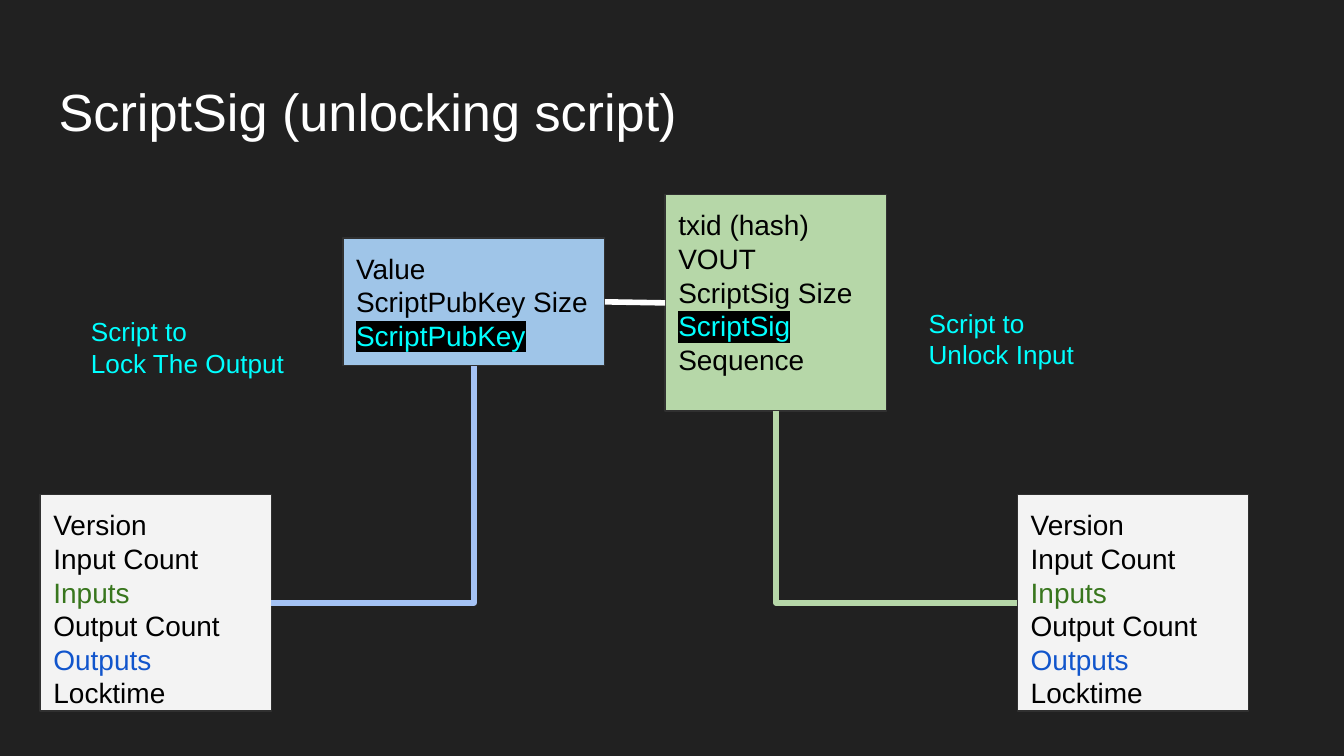
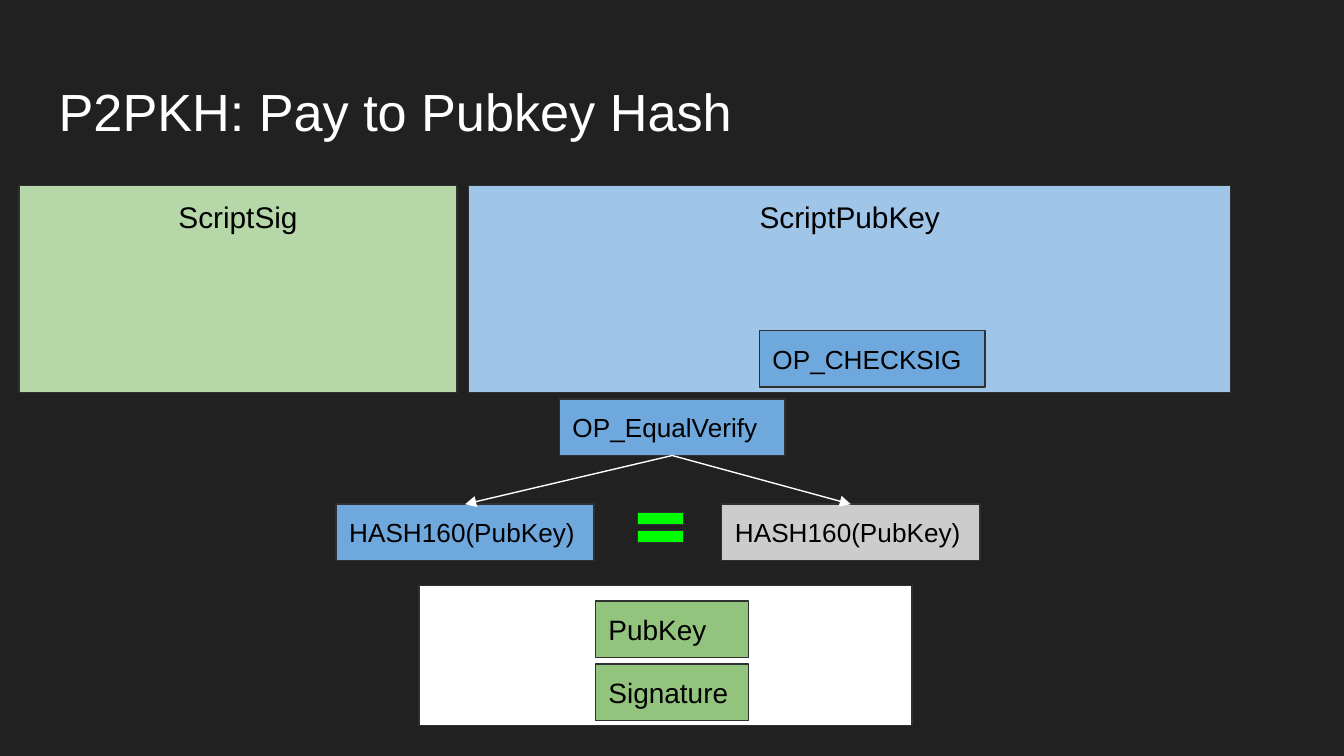
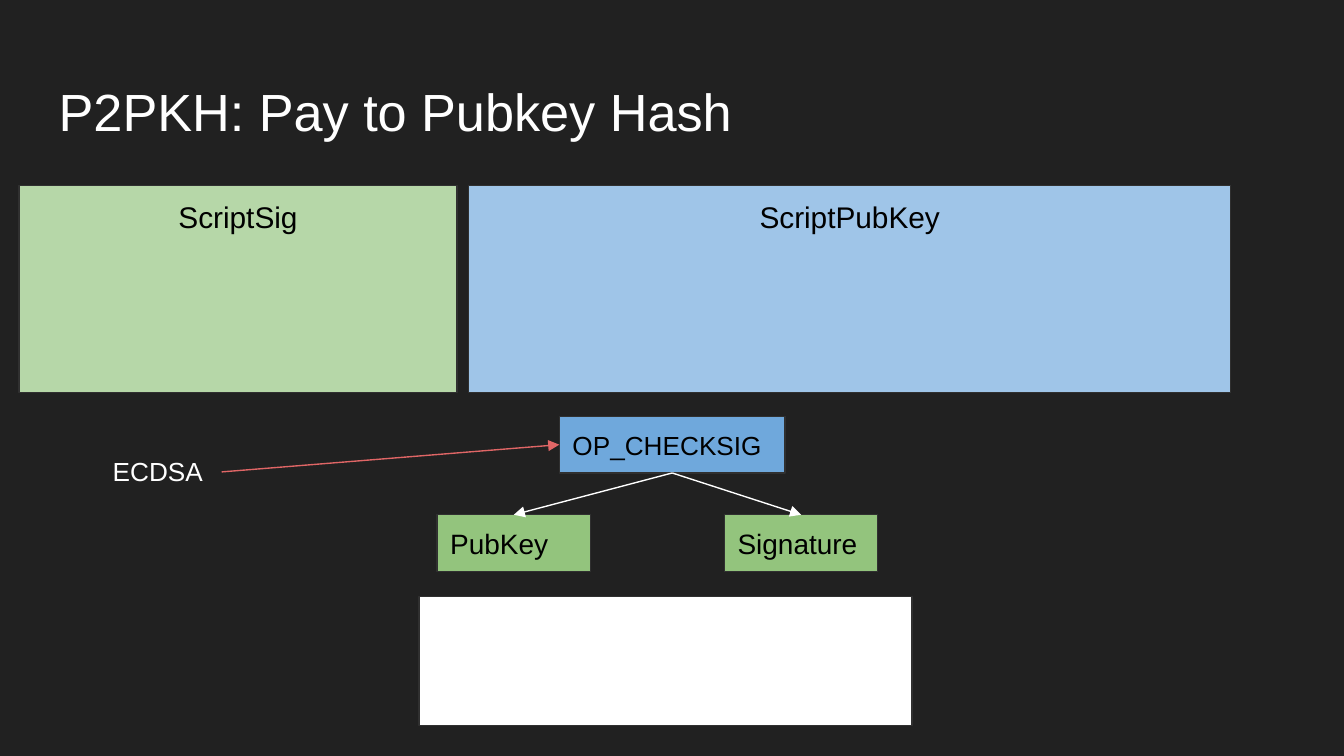
from lxml import etree
from pptx import Presentation
from pptx.dml.color import RGBColor
from pptx.enum import shapes, text
from pptx.oxml.ns import qn
from pptx.util import Cm, Pt

BACKGROUND = RGBColor(0x21, 0x21, 0x21)
OUTLINE = RGBColor(0x30, 0x30, 0x30)
BLACK = RGBColor(0x00, 0x00, 0x00)
WHITE = RGBColor(0xFF, 0xFF, 0xFF)
PAPER = RGBColor(0xF3, 0xF3, 0xF3)
GRAY = RGBColor(0xCC, 0xCC, 0xCC)
CYAN = RGBColor(0x00, 0xFF, 0xFF)
LIME = RGBColor(0x00, 0xFF, 0x00)
INPUT_GREEN = RGBColor(0x38, 0x76, 0x1D)
OUTPUT_BLUE = RGBColor(0x11, 0x55, 0xCC)
SIG_GREEN = RGBColor(0xB6, 0xD7, 0xA8)
DATA_GREEN = RGBColor(0x93, 0xC4, 0x7D)
KEY_BLUE = RGBColor(0x9F, 0xC5, 0xE8)
OP_BLUE = RGBColor(0x6F, 0xA8, 0xDC)
LINK_BLUE = RGBColor(0xA4, 0xC2, 0xF4)
RED = RGBColor(0xE0, 0x66, 0x66)

FONT = "Arial"
INSET = Cm(0.25)
TOP, LEFT, BOTTOM, RIGHT = range(4)

UNLOCK_TITLE = "ScriptSig (unlocking script)"
P2PKH_TITLE = "P2PKH: Pay to Pubkey Hash"
TRANSACTION = ["Version", "Input Count", "Inputs", "Output Count", "Outputs", "Locktime"]
OUTPUT = ["Value", "ScriptPubKey Size", "ScriptPubKey"]
INPUT = ["txid (hash)", "VOUT", "ScriptSig Size", "ScriptSig", "Sequence"]
LOCK_NOTE = ["Script to", "Lock The Output"]
UNLOCK_NOTE = ["Script to", "Unlock Input"]
LINE_COLORS = {"Inputs": INPUT_GREEN, "Outputs": OUTPUT_BLUE,
               "ScriptPubKey": CYAN, "ScriptSig": CYAN}

SCRIPT_PANELS = [("ScriptSig", 0.36, 8.28, SIG_GREEN), ("ScriptPubKey", 8.86, 14.4, KEY_BLUE)]
STACK_LEFT, STACK_WIDTH, STACK_BOTTOM = 7.92, 9.32, 13.71
TAG_HEIGHT = 1.07
OP_WIDTH, HASH_WIDTH, DATA_WIDTH = 4.27, 4.88, 2.9
OP_LEFT = 10.57


def write(shape, lines, size, color, colors=None, align=text.PP_ALIGN.LEFT,
          anchor=text.MSO_ANCHOR.TOP):
    frame = shape.text_frame
    frame.text = "\n".join(lines)
    frame.word_wrap = True
    frame.vertical_anchor = anchor
    frame.margin_left = frame.margin_right = INSET
    frame.margin_top = frame.margin_bottom = INSET
    for paragraph in frame.paragraphs:
        paragraph.alignment = align
        for run in paragraph.runs:
            run.font.size = Pt(size)
            run.font.name = FONT
            run.font.color.rgb = (colors or {}).get(run.text, color)
            if run.font.color.rgb == CYAN and colors:
                highlight(run, BLACK)


def highlight(run, color):
    fill = run.font._element.find(qn("a:solidFill"))
    marker = etree.Element(qn("a:highlight"))
    etree.SubElement(marker, qn("a:srgbClr"), val=str(color))
    fill.addnext(marker)


def add_box(slide, left, top, width, height, fill, kind=shapes.MSO_SHAPE.RECTANGLE):
    box = slide.shapes.add_shape(kind, Cm(left), Cm(top), Cm(width), Cm(height))
    box.shadow.inherit = False
    box.fill.solid()
    box.fill.fore_color.rgb = fill
    box.line.color.rgb = OUTLINE
    box.line.width = Pt(0.75)
    return box


def add_fields(slide, lines, left, top, width, height, fill):
    box = add_box(slide, left, top, width, height, fill)
    write(box, lines, 15, BLACK, LINE_COLORS)
    return box


def add_tag(slide, label, left, top, width, fill, size=14):
    tag = add_box(slide, left, top, width, TAG_HEIGHT, fill)
    write(tag, [label], size, BLACK, anchor=text.MSO_ANCHOR.MIDDLE)
    return tag


def add_label(slide, lines, left, top, width, height, size, color):
    label = slide.shapes.add_textbox(Cm(left), Cm(top), Cm(width), Cm(height))
    write(label, lines, size, color)
    return label


def link(slide, start, start_side, end, end_side, color=WHITE, width=0.75,
         arrow=False, bent=False):
    kind = shapes.MSO_CONNECTOR.ELBOW if bent else shapes.MSO_CONNECTOR.STRAIGHT
    line = slide.shapes.add_connector(kind, 0, 0, 0, 0)
    line.begin_connect(start, start_side)
    line.end_connect(end, end_side)
    line.line.color.rgb = color
    line.line.width = Pt(width)
    properties = line._element.spPr
    if bent:
        properties.find(qn("a:prstGeom")).set("prst", "bentConnector2")
    if arrow:
        etree.SubElement(properties.find(qn("a:ln")), qn("a:tailEnd"), type="triangle")
    etree.SubElement(properties, qn("a:effectLst"))


def branch(slide, parent, children):
    for child in children:
        link(slide, parent, BOTTOM, child, TOP, arrow=True)


def start_slide(deck, title):
    slide = deck.slides.add_slide(deck.slide_layouts[6])
    slide.background.fill.solid()
    slide.background.fill.fore_color.rgb = BACKGROUND
    add_label(slide, [title], 0.86, 1.24, 23.67, 1.6, 28, WHITE)
    return slide


def start_p2pkh(deck, stack_top):
    slide = start_slide(deck, P2PKH_TITLE)
    add_box(slide, STACK_LEFT, stack_top, STACK_WIDTH, STACK_BOTTOM - stack_top, WHITE)
    for label, left, width, fill in SCRIPT_PANELS:
        panel = add_box(slide, left, 3.51, width, 3.91, fill)
        write(panel, [label], 16, BLACK, align=text.PP_ALIGN.CENTER)
    return slide


def build_unlocking(deck):
    slide = start_slide(deck, UNLOCK_TITLE)
    funding, spending = [add_fields(slide, TRANSACTION, left, 9.35, 4.37, 4.09, PAPER)
                         for left in (0.76, 19.23)]
    output = add_fields(slide, OUTPUT, 6.48, 4.5, 4.95, 2.41, KEY_BLUE)
    spent = add_fields(slide, INPUT, 12.57, 3.68, 4.19, 4.09, SIG_GREEN)
    for lines, left, top in ((LOCK_NOTE, 1.47, 5.72), (UNLOCK_NOTE, 17.3, 5.56)):
        add_label(slide, lines, left, top, 4.37, 1.6, 14, CYAN)
    link(slide, funding, RIGHT, output, BOTTOM, LINK_BLUE, 3, bent=True)
    link(slide, spending, LEFT, spent, BOTTOM, SIG_GREEN, 3, bent=True)
    link(slide, spent, LEFT, output, RIGHT, WHITE, 3)


def build_equal_verify(deck):
    slide = start_p2pkh(deck, 11.07)
    add_tag(slide, "OP_CHECKSIG", 14.35, 6.25, OP_WIDTH, OP_BLUE)
    verify = add_tag(slide, "OP_EqualVerify", OP_LEFT, 7.54, OP_WIDTH, OP_BLUE)
    hashes = [add_tag(slide, "HASH160(PubKey)", left, 9.53, HASH_WIDTH, fill)
              for left, fill in ((6.35, OP_BLUE), (13.64, GRAY))]
    for row, label in enumerate(("PubKey", "Signature")):
        add_tag(slide, label, 11.25, 11.36 + 1.19 * row, DATA_WIDTH, DATA_GREEN, 15)
    branch(slide, verify, hashes)
    equal = add_box(slide, 11.89, 9.5, 1.19, 0.94, LIME, shapes.MSO_SHAPE.MATH_EQUAL)
    equal.adjustments[0] = 0.24
    equal.adjustments[1] = 0.12


def build_checksig(deck):
    slide = start_p2pkh(deck, 11.28)
    check = add_tag(slide, "OP_CHECKSIG", OP_LEFT, 7.87, OP_WIDTH, OP_BLUE)
    operands = [add_tag(slide, label, left, 9.73, DATA_WIDTH, DATA_GREEN, 15)
                for label, left in (("PubKey", 8.26), ("Signature", 13.69))]
    branch(slide, check, operands)
    ecdsa = add_label(slide, ["ECDSA"], 1.88, 8.36, 2.31, 1.12, 14, WHITE)
    link(slide, ecdsa, RIGHT, check, LEFT, RED, arrow=True)


def main():
    deck = Presentation()
    deck.slide_width, deck.slide_height = Cm(25.4), Cm(14.29)
    for build in (build_unlocking, build_equal_verify, build_checksig):
        build(deck)
    deck.save("out.pptx")


if __name__ == "__main__":
    main()
